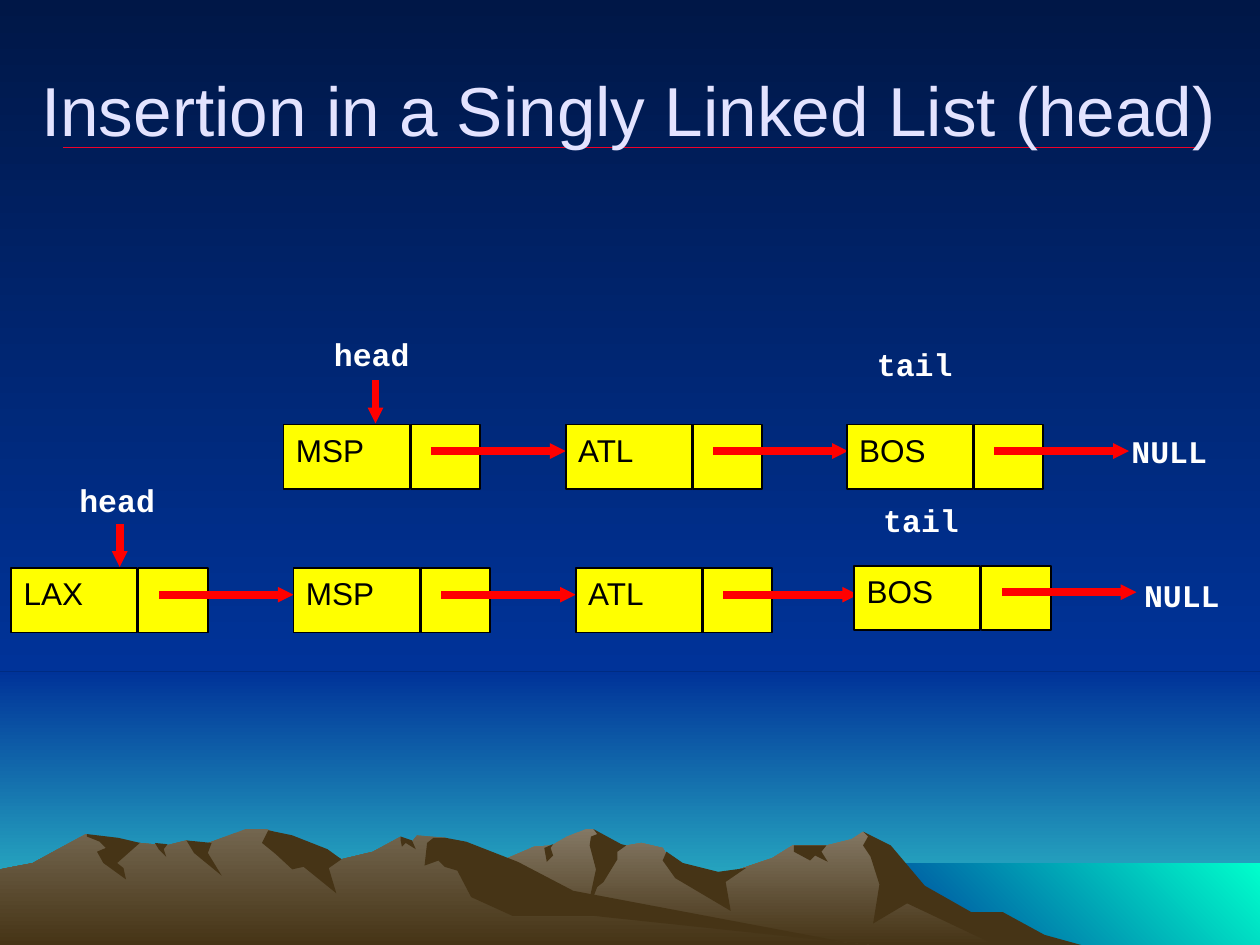
import lxml.etree
import pptx
import pptx.dml.color
import pptx.enum.shapes
import pptx.enum.text
import pptx.oxml.ns
import pptx.util

PX = 9144
PAGE_WIDTH, PAGE_HEIGHT, HORIZON = 1000, 750, 533
NODE_STEP, CELL_HEIGHT = 224, 51
DATA_WIDTH, LINK_LEFT, LINK_WIDTH = 100, 101, 55
ARROW_LEFT, ARROW_DROP = 120, 21
POINTER_LENGTH = 31

DARK_SKY, BLUE, TEAL, AQUA = "001747", "003399", "33CCCC", "00FFCC"
SUNLIT, HAZY, BROWN = "847864", "73664F", "463416"
RED, CRIMSON, YELLOW = "FF0000", "EF0129", "FFFF00"
BLACK, WHITE, LAVENDER = "000000", "FFFFFF", "E3E3FF"
DOWN, UP_RIGHT = 270, 45

TITLE = {"font": {"name": "Arial", "size": pptx.util.Pt(39.6)}, "color": LAVENDER,
         "margins": (10, 5, 10, 5), "align": "CENTER", "anchor": "MIDDLE"}
DATA = {"font": {"name": "Arial", "size": pptx.util.Pt(18)}, "color": BLACK,
        "margins": (10, 5, 10, 5), "align": "LEFT", "anchor": "TOP"}
LABEL = {"font": {"name": "Courier New", "size": pptx.util.Pt(18), "bold": True},
         "color": WHITE, "margins": (27, 8, 10, 5), "align": "LEFT", "anchor": "TOP"}

BANDS = {
    "lower sky": ((0, HORIZON, PAGE_WIDTH, PAGE_HEIGHT - HORIZON), [BLUE, TEAL], DOWN),
    "upper sky": ((0, 0, PAGE_WIDTH, HORIZON), [DARK_SKY, BLUE], DOWN),
    "sea": ((683, 685, 317, 65), [BLUE, AQUA], UP_RIGHT),
}

RIGHT_RIDGE = (
    "258,750 277,739 327,709 355,698 394,685 424,672 438,671 450,664 465,658 471,658 "
    "486,673 509,669 526,673 536,690 566,697 613,681 629,671 656,671 676,666 685,660 "
    "702,671 723,698 764,723 802,740 820,750")
RIGHT_SHADOWS = {
    "sea slope": "685,660 707,671 734,703 771,724 796,724 829,742 858,750 790,750 "
                 "720,717 693,733 698,702 691,680 685,671 689,664",
    "middle peak": "471,658 493,670 497,671 490,676 490,682 479,700 474,704 465,727 "
                   "473,690 468,671 469,664 474,662",
    "middle slope": "529,676 542,685 570,692 592,689 576,700 580,723 536,697 526,683",
    "right notch": "630,671 656,671 652,676 657,684 647,679 643,683 630,676",
    "left notch": "432,673 439,670 437,673 439,679 434,684",
}
LEFT_RIDGE = (
    "0,750 0,690 26,685 46,674 68,662 94,671 111,669 132,671 148,667 160,671 "
    "195,658 212,658 223,663 236,681 260,676 271,682 296,676 318,664 327,668 "
    "331,663 354,665 432,712 667,748 690,750")
LEFT_SHADOWS = {
    "tall peak": "213,659 232,663 260,674 271,682 261,689 267,709 241,688 232,690 "
                 "219,678 208,669",
    "long slope": "344,665 354,665 370,668 411,684 455,707 683,750 690,750 472,727 "
                  "407,727 374,712 363,691 353,688 348,683 337,687 339,669",
    "small gap": "318,664 327,667 330,674 322,669 319,672 318,667",
    "second peak": "148,667 168,669 165,677 176,695 154,677",
    "small dip": "123,669 133,670 130,674 132,680 126,674",
    "first peak": "69,662 94,665 111,669 93,685 98,689 100,698 82,685 77,676 "
                  "84,673 79,668 69,664",
}
MOUNTAINS = [
    (RIGHT_RIDGE, SUNLIT, RIGHT_SHADOWS),
    (LEFT_RIDGE, HAZY, LEFT_SHADOWS),
]

LIST_AFTER = {
    "codes": ["LAX", "MSP", "ATL", "BOS"], "left": 9, "top": 451, "last_shift": (-3, -2),
    "head_x": 95, "labels": {"head": (36, 374), "tail": (674, 390), "NULL": (881, 449)},
}
LIST_BEFORE = {
    "codes": ["MSP", "ATL", "BOS"], "left": 225, "top": 337, "last_shift": (-1, 0),
    "head_x": 298, "labels": {"head": (238, 258), "tail": (669, 266), "NULL": (871, 335)},
}


def px(*lengths):
    return [pptx.util.Emu(length * PX) for length in lengths]


def color(value):
    return pptx.dml.color.RGBColor.from_string(value)


def set_values(target, values):
    for name, value in values.items():
        setattr(target, name, value)


def paint(fill, colors, angle=None):
    if angle is None:
        fill.solid()
        fill.fore_color.rgb = color(colors[0])
        return
    fill.gradient()
    fill.gradient_angle = angle
    for stop, value in zip(fill.gradient_stops, colors):
        stop.color.rgb = color(value)


def add_rectangle(page, bounds, colors, angle=None):
    shape = page.shapes.add_shape(
        pptx.enum.shapes.MSO_SHAPE.RECTANGLE, *px(*bounds))
    shape.shadow.inherit = False
    paint(shape.fill, colors, angle)
    shape.line.fill.background()
    return shape


def add_outline(page, points, colors, angle=None):
    corners = [tuple(map(int, point.split(","))) for point in points.split()]
    builder = page.shapes.build_freeform(*corners[0], scale=PX)
    builder.add_line_segments(corners[1:], close=True)
    shape = builder.convert_to_shape()
    shape.shadow.inherit = False
    paint(shape.fill, colors, angle)
    shape.line.fill.background()


def add_line(page, start, end, line_color, width):
    line = page.shapes.add_connector(
        pptx.enum.shapes.MSO_CONNECTOR.STRAIGHT, *px(*start, *end))
    line._element.remove(line._element.find(pptx.oxml.ns.qn("p:style")))
    line.line.color.rgb = color(line_color)
    line.line.width = pptx.util.Pt(width)
    lxml.etree.SubElement(line._element.spPr, pptx.oxml.ns.qn("a:effectLst"))
    return line


def add_arrow(page, start, end):
    outline = add_line(page, start, end, RED, 4.5).line._get_or_add_ln()
    outline.set("cap", "sq")
    lxml.etree.SubElement(outline, pptx.oxml.ns.qn("a:tailEnd"),
                          type="triangle", w="sm", len="sm")


def write(box, text, style):
    frame = box.text_frame
    frame.word_wrap = True
    frame.vertical_anchor = getattr(pptx.enum.text.MSO_ANCHOR, style["anchor"])
    sides = ("margin_left", "margin_top", "margin_right", "margin_bottom")
    set_values(frame, dict(zip(sides, px(*style["margins"]))))
    para = frame.paragraphs[0]
    para.alignment = getattr(pptx.enum.text.PP_ALIGN, style["align"])
    span = para.add_run()
    span.text = text
    set_values(span.font, style["font"])
    span.font.color.rgb = color(style["color"])


def add_text(page, text, bounds, style):
    write(page.shapes.add_textbox(*px(*bounds)), text, style)


def add_cell(page, left, top, width):
    cell = add_rectangle(page, (left, top, width, CELL_HEIGHT), [YELLOW])
    cell.line.color.rgb = color(BLACK)
    cell.line.width = pptx.util.Pt(1)
    return cell


def add_node(page, code, left, top):
    write(add_cell(page, left, top, DATA_WIDTH), code, DATA)
    add_cell(page, left + LINK_LEFT, top, LINK_WIDTH)
    arrow_y = top + ARROW_DROP
    add_arrow(page, (left + ARROW_LEFT, arrow_y), (left + NODE_STEP, arrow_y))


def add_linked_list(page, codes, left, top, last_shift, head_x, labels):
    for index, code in enumerate(codes):
        shift_x, shift_y = last_shift if index == len(codes) - 1 else (0, 0)
        add_node(page, code, left + index * NODE_STEP + shift_x, top + shift_y)
    for text, (label_left, label_top) in labels.items():
        add_text(page, text, (label_left, label_top, 117, 50), LABEL)
    add_arrow(page, (head_x, top - 1 - POINTER_LENGTH), (head_x, top - 1))


def add_landscape(page):
    for bounds, colors, angle in BANDS.values():
        add_rectangle(page, bounds, colors, angle)
    for ridge, light, shadows in MOUNTAINS:
        add_outline(page, ridge, [light, BROWN], DOWN)
        for shadow in shadows.values():
            add_outline(page, shadow, [BROWN])


def main():
    deck = pptx.Presentation()
    deck.slide_width, deck.slide_height = px(PAGE_WIDTH, PAGE_HEIGHT)
    page = deck.slides.add_slide(deck.slide_layouts[6])
    paint(page.background.fill, [DARK_SKY, BLUE], DOWN)
    add_landscape(page)
    add_line(page, (50, 117), (950, 117), CRIMSON, 1)
    add_text(page, "Insertion in a Singly Linked List (head)", (0, 24, 998, 125), TITLE)
    for linked_list in (LIST_AFTER, LIST_BEFORE):
        add_linked_list(page, **linked_list)
    deck.save("out.pptx")


if __name__ == "__main__":
    main()
